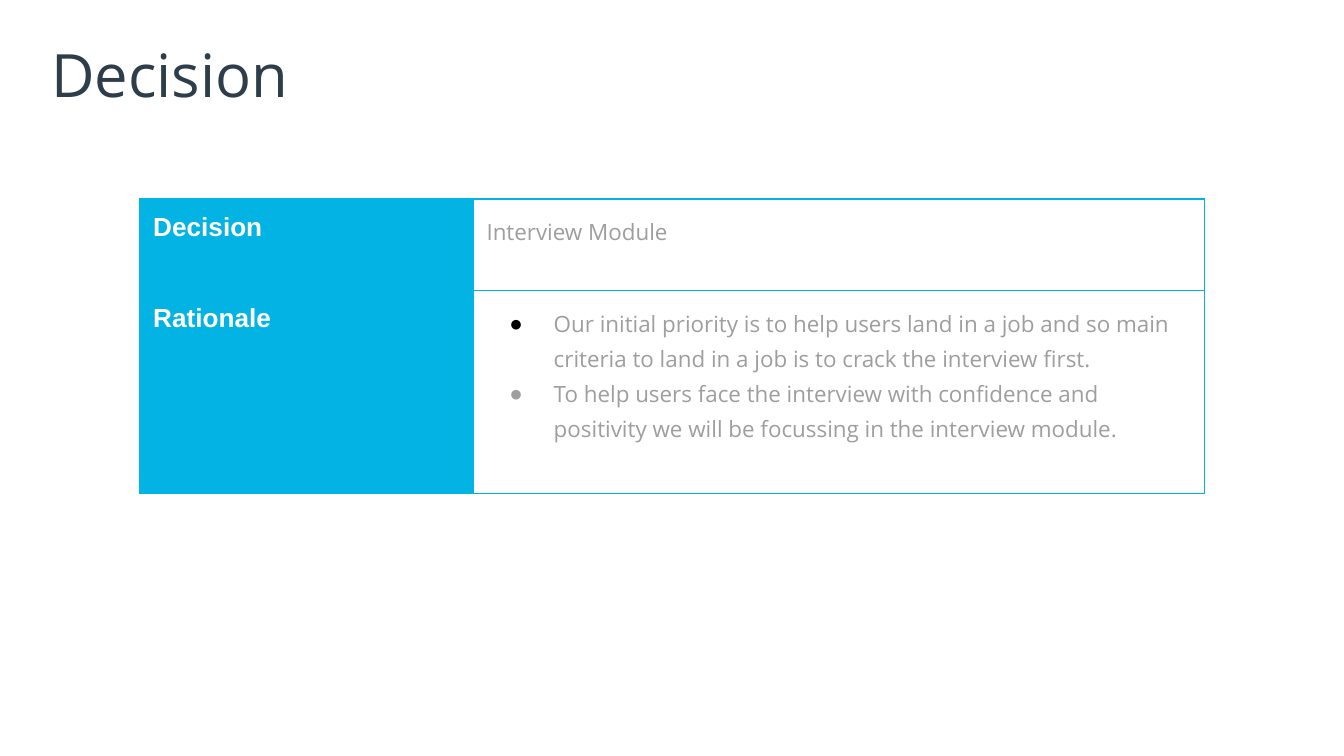
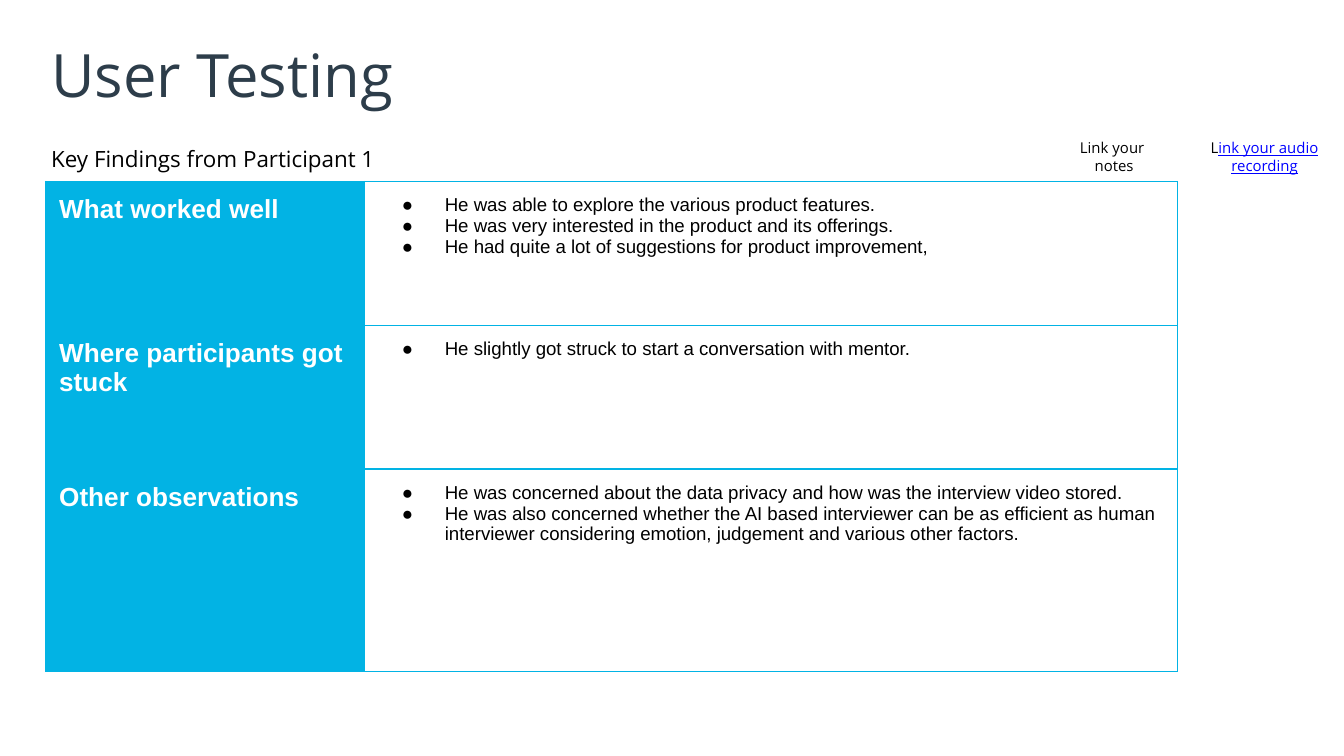
from lxml import etree
from pptx import Presentation
from pptx.dml.color import RGBColor
from pptx.enum.text import MSO_ANCHOR, MSO_AUTO_SIZE, PP_ALIGN
from pptx.oxml.ns import qn
from pptx.util import Inches, Pt

LEFT, CENTER = PP_ALIGN.LEFT, PP_ALIGN.CENTER
TOP = MSO_ANCHOR.TOP
NO_AUTOFIT = MSO_AUTO_SIZE.NONE

CYAN = RGBColor(0x02, 0xB3, 0xE4)
NAVY = RGBColor(0x2D, 0x3D, 0x4A)
GRAY = RGBColor(0x9E, 0x9E, 0x9E)
BLACK = RGBColor(0, 0, 0)
WHITE = RGBColor(0xFF, 0xFF, 0xFF)
LINK_BLUE = RGBColor(0, 0, 0xFF)

SANS, HEADING = "Open Sans", "Arial"
TITLE_ONLY, TITLE_AND_BODY = 5, 1


class Deck:
    def __init__(self):
        self.prs = Presentation()
        self.prs.slide_width = Inches(10)
        self.prs.slide_height = Inches(10 * 9 / 16)
        self.s = None

    def add_slide(self, layout, title):
        self.s = self.prs.slides.add_slide(self.prs.slide_layouts[layout])
        self.fill_placeholder(self.s.shapes.title, title, 0.24, 0.63, 32, NAVY)

    def add_subtitle(self, text):
        p = self.fill_placeholder(self.s.placeholders[1], text, 1.01, 0.34, 12, BLACK)
        p.line_spacing = 1.15
        p.space_before = Pt(0)
        pPr = p._p.get_or_add_pPr()
        pPr.set("marL", "0")
        pPr.set("indent", "0")
        etree.SubElement(pPr, qn("a:buNone"))

    def fill_placeholder(self, sp, text, top, height, size, color):
        sp.left, sp.top = Inches(0.34), Inches(top)
        sp.width, sp.height = Inches(9.32), Inches(height)
        tf = sp.text_frame
        tf.text = text
        self.set_frame(tf, 0.04)
        p = tf.paragraphs[0]
        p.alignment = LEFT
        self.style(p, size, color)
        return p

    def set_frame(self, tf, inset):
        tf.word_wrap = True
        tf.auto_size = NO_AUTOFIT
        tf.vertical_anchor = TOP
        tf.margin_left = tf.margin_right = Inches(inset)
        tf.margin_top = tf.margin_bottom = Inches(inset)

    def style(self, p, size, color, font=SANS, bold=False):
        for r in p.runs:
            r.font.name = font
            r.font.size = Pt(size)
            r.font.bold = bold
            r.font.color.rgb = color

    def add_note(self, left, text):
        sp = self.s.shapes.add_textbox(Inches(left), Inches(0.93), Inches(1.1), Inches(0.48))
        tf = sp.text_frame
        tf.text = text
        self.set_frame(tf, 0.1)
        for p in tf.paragraphs:
            p.alignment = CENTER
            self.style(p, 8, BLACK)
        return tf.paragraphs[-1]

    def add_link_note(self, left, first, rest):
        p = self.add_note(left, first)
        r = p.add_run()
        r.text = rest
        self.style(p, 8, BLACK)
        r.font.color.rgb = LINK_BLUE
        r.font.underline = True

    def add_bullet(self, p, indent, color):
        pPr = p._p.get_or_add_pPr()
        pPr.set("marL", str(Inches(0.5)))
        pPr.set("indent", str(-Inches(indent)))
        clr = etree.SubElement(pPr, qn("a:buClr"))
        etree.SubElement(clr, qn("a:srgbClr"), val=str(color))
        etree.SubElement(pPr, qn("a:buFont"), typeface=HEADING)
        etree.SubElement(pPr, qn("a:buChar"), char="●")

    def set_cell(self, cell, text, fill):
        cell.text = text
        cell.margin_left = cell.margin_right = Inches(0.1)
        cell.margin_top = cell.margin_bottom = Inches(0.1)
        tcPr = cell._tc.get_or_add_tcPr()
        for side in ("lnL", "lnR", "lnT", "lnB"):
            ln = etree.SubElement(tcPr, qn(f"a:{side}"), w=str(Pt(0.75)))
            solid = etree.SubElement(ln, qn("a:solidFill"))
            etree.SubElement(solid, qn("a:srgbClr"), val=str(CYAN))
        cell.fill.solid()
        cell.fill.fore_color.rgb = fill
        return cell.text_frame.paragraphs

    def add_table(self, left, top, widths, heights, rows, size, color, font,
                  spacing=1.0, indent=0.32, bullet_colors=()):
        table = self.s.shapes.add_table(
            len(rows), 2, Inches(left), Inches(top),
            Inches(sum(widths)), Inches(sum(heights))).table
        table.first_row = table.horz_banding = False
        for column, width in zip(table.columns, widths):
            column.width = Inches(width)
        for i, (label, content) in enumerate(rows):
            table.rows[i].height = Inches(heights[i])
            p = self.set_cell(table.cell(i, 0), label, CYAN)[0]
            self.style(p, 14, WHITE, HEADING, True)
            bulleted = isinstance(content, list)
            text = "\n".join(content) if bulleted else content
            for j, p in enumerate(self.set_cell(table.cell(i, 1), text, WHITE)):
                if bulleted:
                    self.add_bullet(p, indent, bullet_colors[j] if bullet_colors else color)
                p.line_spacing = spacing
                self.style(p, size, color, font)


def main():
    deck = Deck()

    deck.add_slide(TITLE_ONLY, "Decision")
    decision_rows = [
        ("Decision", "Interview Module"),
        ("Rationale", [
            "Our initial priority is to help users land in a job and so main criteria "
            "to land in a job is to crack the interview first.",
            "To help users face the interview with confidence and positivity we will "
            "be focussing in the interview module.",
        ]),
    ]
    deck.add_table(1.04, 1.48, (2.48, 5.44), (0.68, 1.51), decision_rows, 12, GRAY, SANS,
                   spacing=1.15, indent=0.33, bullet_colors=(BLACK, GRAY))

    deck.add_slide(TITLE_AND_BODY, "User Testing")
    deck.add_subtitle("Key Findings from Participant 1")
    deck.add_link_note(8.86, "L", "ink your audio recording")
    deck.add_note(7.74, "Link your \nnotes")
    finding_rows = [
        ("What worked well", [
            "He was able to explore the various product features.",
            "He was very interested in the product and its offerings.",
            "He had quite a lot of suggestions for product improvement,",
        ]),
        ("Where participants got stuck", [
            "He slightly got struck to start a conversation with mentor.",
        ]),
        ("Other observations", [
            "He was concerned about the data privacy and how was the interview video stored.",
            "He was also concerned whether the AI based interviewer can be as efficient as "
            "human interviewer considering emotion, judgement and various other factors.",
        ]),
    ]
    deck.add_table(0.34, 1.35, (2.37, 6.05), (1.07, 1.07, 1.51), finding_rows, 10, BLACK, HEADING)

    deck.prs.save("out.pptx")


if __name__ == "__main__":
    main()
